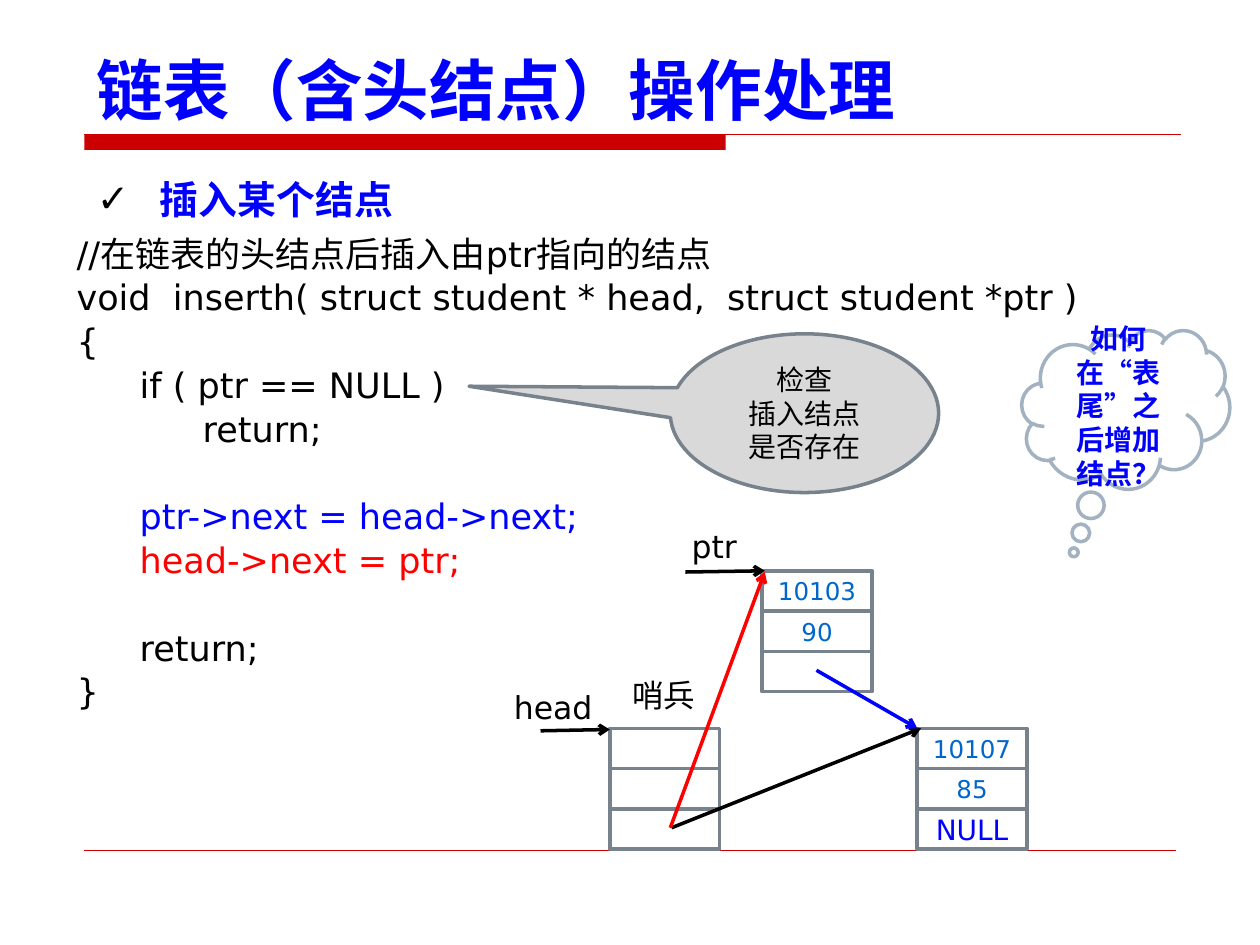
from dataclasses import dataclass

from lxml import etree
from pptx import Presentation
from pptx.dml.color import RGBColor
from pptx.enum.shapes import MSO_CONNECTOR, MSO_SHAPE as SHAPE
from pptx.enum.text import MSO_ANCHOR as ANCHOR, PP_ALIGN as ALIGN
from pptx.oxml.ns import qn
from pptx.util import Inches, Pt


@dataclass(frozen=True)
class Theme:
    """Colours and type sizes of the slide."""
    font: str = "DejaVu Sans"
    black: str = "000000"
    white: str = "FFFFFF"
    blue: str = "0000FF"
    red: str = "FF0000"
    rule: str = "CC0000"
    border: str = "77828D"
    callout: str = "D9D9D9"
    cloud: str = "A3B2C1"
    value: str = "0066CC"
    title: float = 38
    heading: float = 22.2
    code: float = 20
    label: float = 18
    note: float = 16
    cell: float = 14
    stroke: float = 2


T = Theme()
CELL_W, CELL_H = 0.87, 0.32


def rgb(color):
    """Turn a hex string into a colour."""
    return RGBColor.from_string(color)


def add_run(p, text, size, color, bold=False):
    """Append one formatted run to a paragraph."""
    r = p.add_run()
    r.text = text
    r.font.name, r.font.size, r.font.bold = T.font, Pt(size), bold
    r.font.color.rgb = rgb(color)


def add_text(s, box, wrap=True):
    """Add a text box and return its text frame."""
    tf = s.shapes.add_textbox(*map(Inches, box)).text_frame
    tf.word_wrap = wrap
    return tf


def add_label(s, box, text):
    """Add a one-line diagram label."""
    add_run(add_text(s, box, wrap=False).paragraphs[0], text, T.label, T.black)


def add_shape(s, kind, box, fill, line, lines=(), size=T.note,
              color=T.black, bold=False):
    """Add an outlined shape with centred lines of text."""
    sp = s.shapes.add_shape(kind, *map(Inches, box))
    sp.shadow.inherit = False
    sp.fill.solid()
    sp.fill.fore_color.rgb = rgb(fill)
    sp.line.color.rgb = rgb(line)
    sp.line.width = Pt(T.stroke)
    tf = sp.text_frame
    tf.word_wrap, tf.vertical_anchor = True, ANCHOR.MIDDLE
    for i, text in enumerate(lines):
        p = tf.add_paragraph() if i else tf.paragraphs[0]
        p.alignment = ALIGN.CENTER
        add_run(p, text, size, color, bold)
    return sp


def add_line(s, start, end, color, width=T.stroke, arrow=False):
    """Add a straight line, with an open arrowhead if wanted."""
    cx = s.shapes.add_connector(MSO_CONNECTOR.STRAIGHT,
                                *map(Inches, (*start, *end)))
    cx.line.color.rgb = rgb(color)
    cx.line.width = Pt(width)
    if arrow:
        etree.SubElement(cx.line._get_or_add_ln(), qn("a:tailEnd"), type="arrow")
    etree.SubElement(cx._element.spPr, qn("a:effectLst"))


def set_indent(p, bullet=None, tabs=()):
    """Give a paragraph a hanging indent, a bullet and tab stops."""
    pPr = p._p.get_or_add_pPr()
    pPr.set("marL", str(Inches(0.5)))
    pPr.set("indent", str(-Inches(0.5)))
    if bullet:
        clr = etree.SubElement(pPr, qn("a:buClr"))
        etree.SubElement(clr, qn("a:srgbClr"), val=T.black)
        etree.SubElement(pPr, qn("a:buFont"), typeface=T.font)
        etree.SubElement(pPr, qn("a:buChar"), char=bullet)
    if tabs:
        lst = etree.SubElement(pPr, qn("a:tabLst"))
        for pos in tabs:
            etree.SubElement(lst, qn("a:tab"), pos=str(Inches(pos)), algn="l")


def title_region(s, box):
    """Place the title above its two-weight rule."""
    x, y, w, h = box
    tf = add_text(s, box)
    tf.vertical_anchor = ANCHOR.BOTTOM
    add_run(tf.paragraphs[0], "链表（含头结点）操作处理", T.title, T.blue, True)
    bar = add_shape(s, SHAPE.RECTANGLE, (x, y + h, 5.09, 0.12), T.rule, T.rule)
    bar.line.fill.background()
    add_line(s, (x, y + h), (x + 8.7, y + h), T.rule, 0.75)


def footer_region(s, box):
    """Place the thin rule at the foot."""
    x, y, w, h = box
    add_line(s, (x, y), (x + w, y), T.rule, 0.25)


def heading_region(s, box):
    """Place the ticked heading."""
    p = add_text(s, box).paragraphs[0]
    set_indent(p, bullet="✓")
    p.line_spacing = Pt(35)
    add_run(p, "插入某个结点", T.heading, T.blue, True)


def code_region(s, box):
    """Place the insertion code, with gaps set before its later blocks."""
    code = [
        ("//在链表的头结点后插入由ptr指向的结点", T.black, 0),
        ("void  inserth( struct student * head,  struct student *ptr )", T.black, 0),
        ("{", T.black, 0),
        ("\tif ( ptr == NULL )", T.black, 0),
        ("\t\treturn;", T.black, 0),
        ("\tptr->next = head->next;", T.blue, 25),
        ("\thead->next = ptr;", T.red, 0),
        ("\treturn;", T.black, 25),
        ("}", T.black, 0),
    ]
    tf = add_text(s, box)
    for i, (text, color, gap) in enumerate(code):
        p = tf.add_paragraph() if i else tf.paragraphs[0]
        set_indent(p, tabs=range(8))
        p.line_spacing = Pt(25)
        if gap:
            p.space_before = Pt(gap)
        add_run(p, text, T.code, color)


def callout_region(s, box, kind, tip, fill, line, lines, color, bold=False):
    """Place a callout whose tip is given as shares of its size."""
    sp = add_shape(s, kind, box, fill, line, lines, T.note, color, bold)
    for i, share in enumerate(tip):
        sp.adjustments[i] = share


def list_node(s, x, y, cells):
    """Stack the cells of one list node."""
    for i, (text, size, color) in enumerate(cells):
        add_shape(s, SHAPE.RECTANGLE, (x, y + i * CELL_H, CELL_W, CELL_H),
                  T.white, T.border, [text] if text else [], size, color)


def diagram_region(s, box):
    """Place the three nodes, their labels and the links between them."""
    x, y, w, h = box
    low = y + 1.25
    blank = ("", T.cell, T.value)
    list_node(s, x + 0.86, low, [blank] * 3)
    list_node(s, x + 3.3, low, [("10107", T.cell, T.value),
                                ("85", T.cell, T.value),
                                ("NULL", T.note, T.blue)])
    list_node(s, x + 2.07, y, [("10103", T.cell, T.value),
                               ("90", T.cell, T.value), blank])
    add_label(s, (x, y + 0.88, 0.87, 0.4), "head")
    add_label(s, (x + 0.94, y + 0.79, 0.7, 0.4), "哨兵")
    add_label(s, (x + 1.41, y - 0.4, 0.79, 0.4), "ptr")
    links = [
        ((0.31, 1.27), (0.86, 1.26), T.black),
        ((1.46, 0.01), (2.09, 0), T.black),
        ((1.35, 2.04), (3.33, 1.25), T.black),
        ((2.5, 0.79), (3.3, 1.25), T.blue),
        ((1.34, 2.04), (2.09, 0.01), T.red),
    ]
    for (x1, y1), (x2, y2), color in links:
        add_line(s, (x + x1, y + y1), (x + x2, y + y2), color, arrow=True)


def main():
    """Build and save the slide."""
    prs = Presentation()
    prs.slide_width, prs.slide_height = Inches(10), Inches(7.5)
    s = prs.slides.add_slide(prs.slide_layouts[6])
    title_region(s, (0.67, 0.28, 9.06, 0.79))
    footer_region(s, (0.67, 6.75, 8.66, 0))
    heading_region(s, (0.67, 1.23, 8.19, 0.52))
    code_region(s, (0.51, 1.78, 8.23, 3.92))
    callout_region(s, (5.32, 2.65, 2.13, 1.26), SHAPE.OVAL_CALLOUT,
                   (-1.25, -0.17), T.callout, T.border,
                   ["检查", "插入结点", "是否存在"], T.black)
    diagram_region(s, (3.98, 4.53, 4.17, 2.21))
    callout_region(s, (8.11, 2.62, 1.65, 1.26), SHAPE.CLOUD_CALLOUT,
                   (-0.25, 0.9), T.white, T.cloud,
                   ["如何在“表尾”之后增加结点？"], T.blue, True)
    prs.save("out.pptx")


if __name__ == "__main__":
    main()
